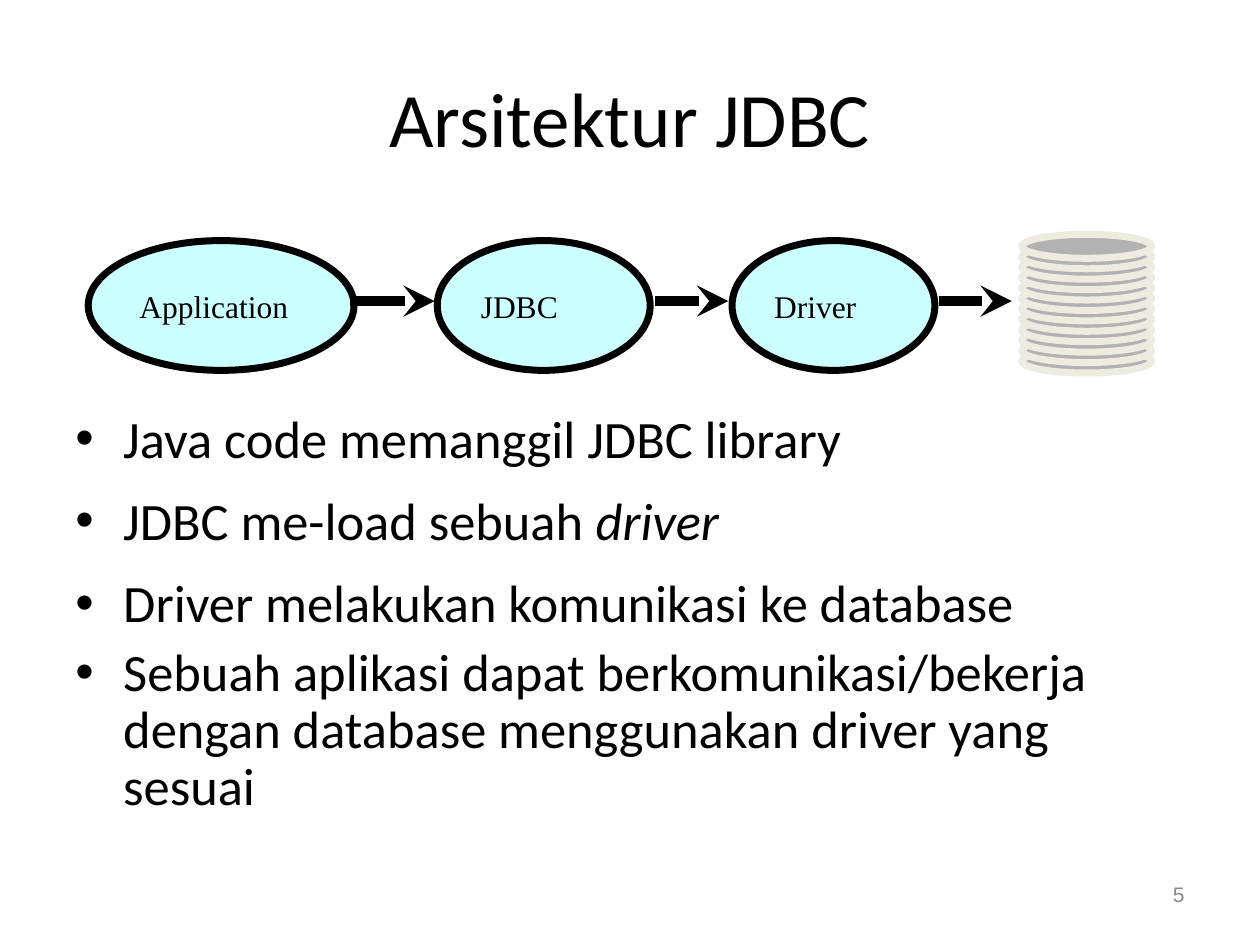
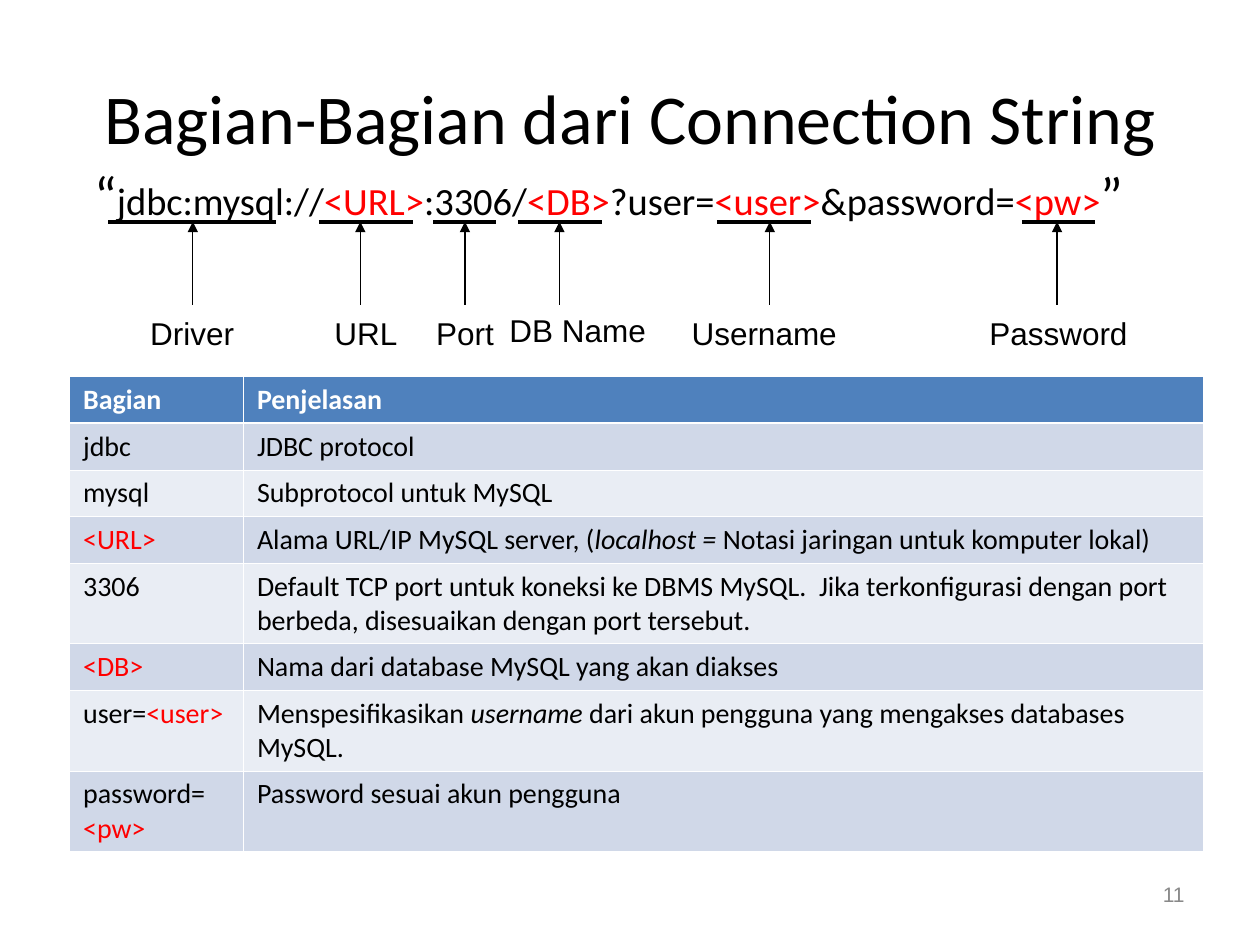
from dataclasses import dataclass
from typing import NamedTuple

from lxml.etree import SubElement
from pptx import Presentation
from pptx.dml.color import RGBColor
from pptx.enum.shapes import MSO_CONNECTOR, MSO_SHAPE
from pptx.enum.text import MSO_ANCHOR, MSO_AUTO_SIZE, PP_ALIGN
from pptx.oxml.ns import qn
from pptx.util import Inches, Pt


@dataclass(frozen=True)
class Theme:
    black: str = "000000"
    white: str = "FFFFFF"
    red: str = "FF0000"
    grey: str = "898989"
    component: str = "CCFFFF"
    disk: str = "B2B2B2"
    disk_edge: str = "EEECE1"
    header: str = "4F81BD"
    bands: tuple = ("D0D8E8", "E9EDF4")
    body_font: str = "Calibri"
    label_font: str = "Arial"
    diagram_font: str = "Times New Roman"
    title_size: int = 44
    long_title_size: int = 40
    quote_size: int = 31
    bullet_size: int = 30
    url_size: int = 22
    label_size: int = 18
    table_size: int = 16
    number_size: int = 12


THEME = Theme()


class Span(NamedTuple):
    text: str
    color: str | None = None
    italic: bool = False
    size: int | None = None


def red(text):
    return Span(text, color=THEME.red)


def italic(text):
    return Span(text, italic=True)


class UrlPart(NamedTuple):
    """An underlined stretch of the connection string and its label."""
    name: str
    start: float
    end: float
    arrow_x: float
    label_width: float
    label_shift: float = 0
    label_top: float = 2.44


class Deck:
    def __init__(self, theme):
        self.theme = theme
        self.presentation = Presentation()
        self.presentation.slide_width = Inches(10)
        self.presentation.slide_height = Inches(7.5)
        self.slide = None

    def start_slide(self, title, number, title_size):
        theme = self.theme
        self.slide = self.presentation.slides.add_slide(self.presentation.slide_layouts[6])
        heading = self.text(0.5, 0.3, 9, 1.25, title, title_size, align=PP_ALIGN.CENTER)
        heading.vertical_anchor = MSO_ANCHOR.MIDDLE
        self.text(7.17, 6.95, 2.33, 0.4, str(number), theme.number_size,
                  theme.label_font, theme.grey, PP_ALIGN.RIGHT)

    def fill_paragraph(self, paragraph, content, size, font=None, color=None, bold=False):
        """Fill a paragraph from a string or a list of strings and Spans."""
        for part in [content] if isinstance(content, str) else content:
            span = Span(part) if isinstance(part, str) else part
            run = paragraph.add_run()
            run.text = span.text
            run.font.name = font or self.theme.body_font
            run.font.size = Pt(span.size or size)
            run.font.bold = bold
            run.font.italic = span.italic
            run.font.color.rgb = RGBColor.from_string(span.color or color or self.theme.black)

    def text_frame(self, left, top, width, height):
        box = self.slide.shapes.add_textbox(
            Inches(left), Inches(top), Inches(width), Inches(height))
        box.text_frame.word_wrap = True
        return box.text_frame

    def text(self, left, top, width, height, content, size, font=None, color=None,
             align=PP_ALIGN.LEFT):
        frame = self.text_frame(left, top, width, height)
        frame.paragraphs[0].alignment = align
        self.fill_paragraph(frame.paragraphs[0], content, size, font, color)
        return frame

    @staticmethod
    def indent(paragraph, margin, first_line):
        properties = paragraph._p.get_or_add_pPr()
        properties.set("marL", str(Inches(margin)))
        properties.set("indent", str(Inches(first_line)))
        return properties

    def bullets(self, left, top, width, height, items):
        """Show (content, line spacing) pairs as one bulleted list."""
        frame = self.text_frame(left, top, width, height)
        for index, (content, line_spacing) in enumerate(items):
            paragraph = frame.add_paragraph() if index else frame.paragraphs[0]
            properties = self.indent(paragraph, 0.38, -0.38)
            bullet_color = SubElement(properties, qn("a:buClr"))
            SubElement(bullet_color, qn("a:srgbClr"), val=self.theme.black)
            SubElement(properties, qn("a:buFont"), typeface=self.theme.label_font)
            SubElement(properties, qn("a:buChar"), char="•")
            paragraph.line_spacing = line_spacing
            if index:
                paragraph.space_before = Pt(7.5)
            self.fill_paragraph(paragraph, content, self.theme.bullet_size)

    def ellipse(self, left, top, width, height, fill, edge, label=None):
        oval = self.slide.shapes.add_shape(
            MSO_SHAPE.OVAL, Inches(left), Inches(top), Inches(width), Inches(height))
        oval.shadow.inherit = False
        oval.fill.solid()
        oval.fill.fore_color.rgb = RGBColor.from_string(fill)
        oval.line.color.rgb = RGBColor.from_string(edge)
        oval.line.width = Pt(4)
        if label:
            frame = oval.text_frame
            frame.word_wrap = False
            frame.vertical_anchor = MSO_ANCHOR.MIDDLE
            frame.paragraphs[0].alignment = PP_ALIGN.LEFT
            self.fill_paragraph(frame.paragraphs[0], label, self.theme.label_size,
                                self.theme.diagram_font)

    def line(self, x1, y1, x2, y2, weight, arrowhead=None):
        connector = self.slide.shapes.add_connector(
            MSO_CONNECTOR.STRAIGHT, Inches(x1), Inches(y1), Inches(x2), Inches(y2))
        connector.line.color.rgb = RGBColor.from_string(self.theme.black)
        connector.line.width = Pt(weight)
        properties = connector._element.spPr
        if arrowhead:
            SubElement(properties.find(qn("a:ln")), qn("a:tailEnd"), type=arrowhead)
        SubElement(properties, qn("a:effectLst"))

    def borders(self, cell, top, bottom):
        properties = cell._tc.get_or_add_tcPr()
        for side, weight in (("L", 0.45), ("R", 0.45), ("T", top), ("B", bottom)):
            edge = SubElement(properties, qn(f"a:ln{side}"), w=str(Pt(weight)))
            fill = SubElement(edge, qn("a:solidFill"))
            SubElement(fill, qn("a:srgbClr"), val=self.theme.white)

    def table(self, left, top, column_widths, row_heights, rows):
        theme = self.theme
        table = self.slide.shapes.add_table(
            len(rows), len(column_widths), Inches(left), Inches(top),
            Inches(sum(column_widths)), Inches(sum(row_heights))).table
        for column, width in zip(table.columns, column_widths):
            column.width = Inches(width)
        for index, (row, height, contents) in enumerate(zip(table.rows, row_heights, rows)):
            row.height = Inches(height)
            is_header = index == 0
            for cell, content in zip(row.cells, contents):
                self.borders(cell, 1.47 if index == 1 else 0.45, 1.47 if is_header else 0.45)
                cell.fill.solid()
                cell.fill.fore_color.rgb = RGBColor.from_string(
                    theme.header if is_header else theme.bands[(index - 1) % 2])
                cell.margin_left = cell.margin_right = Inches(0.11)
                cell.margin_top = cell.margin_bottom = Inches(0.05)
                self.fill_paragraph(
                    cell.text_frame.paragraphs[0], content, theme.table_size,
                    color=theme.white if is_header else theme.black, bold=is_header)


def add_architecture(deck):
    theme = deck.theme
    deck.start_slide("Arsitektur JDBC", 5, theme.title_size)
    deck.bullets(0.5, 3.12, 9, 3.57, [
        ("Java code memanggil JDBC library", 1.1),
        (["JDBC me-load sebuah ", italic("driver")], 1.1),
        ("Driver melakukan komunikasi ke database", 1.1),
        ("Sebuah aplikasi dapat berkomunikasi/bekerja dengan database "
         "menggunakan driver yang sesuai", 0.9),
    ])
    for component, left, width in (
            ("Application", 0.7, 2.11), ("JDBC", 3.47, 1.69), ("Driver", 5.81, 1.61)):
        deck.ellipse(left, 1.91, width, 1.03, theme.component, theme.black, component)

    disk_count, lowest, highest = 12, 2.77, 1.86
    disk_step = (lowest - highest) / (disk_count - 1)
    for level in range(disk_count):
        deck.ellipse(8.11, lowest - level * disk_step, 1.03, 0.19, theme.disk, theme.disk_edge)

    for start, end in ((2.78, 3.45), (5.2, 5.78), (7.45, 8.03)):
        deck.line(start, 2.39, end, 2.39, 6, "stealth")


def add_connection_string(deck):
    theme = deck.theme
    deck.start_slide("Bagian-Bagian dari Connection String", 11, theme.long_title_size)
    connection = deck.text(0.5, 1.33, 9, 0.83, [
        Span("“", size=theme.quote_size), "jdbc:mysql://", red("<URL>"), ":3306/",
        red("<DB>"), "?user=", red("<user>"), "&password=", red("<pw>"),
        Span("”", size=theme.quote_size)], theme.url_size).paragraphs[0]
    connection.line_spacing = 0.8
    deck.indent(connection, 0.46, -0.31)

    deck.table(0.55, 2.99, (1.38, 7.62), (0.37, 0.37, 0.37, 0.37, 0.64, 0.37, 0.64, 0.64), [
        ("Bagian", "Penjelasan"),
        ("jdbc", "JDBC protocol"),
        ("mysql", "Subprotocol untuk MySQL"),
        ([red("<URL>")], ["Alama URL/IP MySQL server, (", italic("localhost = "),
                          "Notasi jaringan untuk komputer lokal)"]),
        ("3306", "Default TCP port untuk koneksi ke DBMS MySQL.  Jika terkonfigurasi "
                 "dengan port berbeda, disesuaikan dengan port tersebut."),
        ([red("<DB>")], "Nama dari database MySQL yang akan diakses"),
        (["user=", red("<user>")],
         ["Menspesifikasikan ", italic("username"),
          " dari akun pengguna yang mengakses databases MySQL."]),
        (["password= ", red("<pw>")], "Password sesuai akun pengguna"),
    ])

    underline_y, arrow_foot = 1.76, 2.42
    for part in (
            UrlPart("Driver", 0.86, 2.19, 1.53, 1.17),
            UrlPart("URL", 2.53, 3.28, 2.86, 1.17),
            UrlPart("Port", 3.44, 3.94, 3.69, 0.67),
            UrlPart("DB Name", 4.11, 4.78, 4.44, 1.37, label_shift=0.14, label_top=2.42),
            UrlPart("Username", 5.69, 6.44, 6.11, 1.92),
            UrlPart("Password", 8.11, 8.69, 8.39, 1.92)):
        deck.line(part.start, underline_y, part.end, underline_y, 2.25)
        deck.line(part.arrow_x, arrow_foot, part.arrow_x, underline_y, 0.75, "triangle")
        center = (part.start + part.end) / 2 + part.label_shift
        label = deck.text(center - part.label_width / 2, part.label_top, part.label_width, 0.4,
                          part.name, theme.label_size, theme.label_font,
                          align=PP_ALIGN.CENTER)
        label.auto_size = MSO_AUTO_SIZE.SHAPE_TO_FIT_TEXT


def main():
    deck = Deck(THEME)
    add_architecture(deck)
    add_connection_string(deck)
    deck.presentation.save("out.pptx")


if __name__ == "__main__":
    main()
